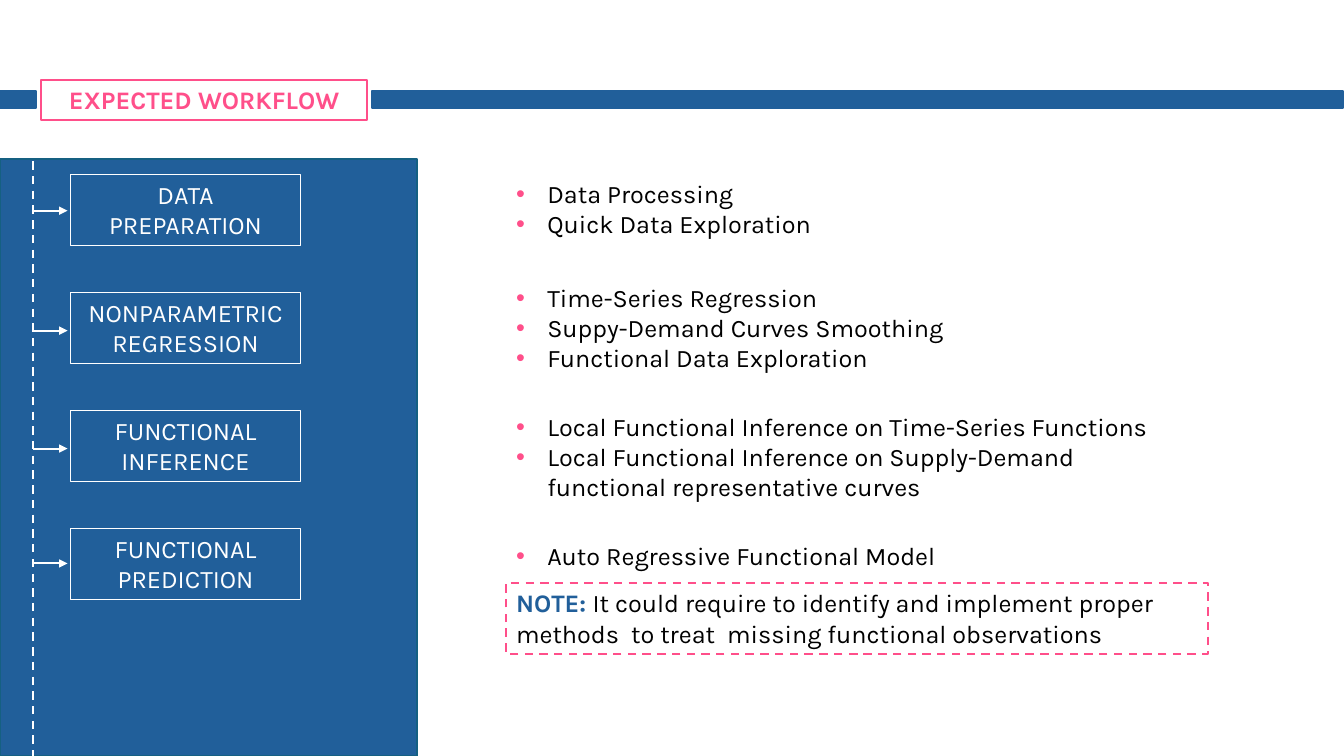
from lxml.etree import SubElement
from pptx import Presentation
from pptx.dml.color import RGBColor
from pptx.enum.dml import MSO_LINE_DASH_STYLE as Dash
from pptx.enum.shapes import MSO_CONNECTOR as Connector, MSO_SHAPE as Shape
from pptx.enum.text import MSO_ANCHOR as Anchor, PP_ALIGN as Align
from pptx.oxml.ns import qn
from pptx.util import Inches, Pt

BLUE, PINK, WHITE, BLACK = "215F9A", "FF4F8A", "FFFFFF", "000000"
PANEL_EDGE = "156082"
FONT = "Karla"
SPINE_X = 0.33
NOTES_X, NOTES_WIDTH = 5.02, 6.96

# Label, arrow height, top and height of the details, details
STAGES = [
    ("DATA PREPARATION", 2.09, 1.72, 0.71,
     ["Data Processing", "Quick Data Exploration"]),
    ("NONPARAMETRIC REGRESSION", 3.28, 2.75, 1.01,
     ["Time-Series Regression", "Suppy-Demand Curves Smoothing",
      "Functional Data Exploration"]),
    ("FUNCTIONAL INFERENCE", 4.45, 4.03, 1.01,
     ["Local Functional Inference on Time-Series Functions",
      "Local Functional Inference on Supply-Demand "
      "functional representative curves"]),
    ("FUNCTIONAL PREDICTION", 5.59, 5.31, 0.4,
     ["Auto Regressive Functional Model"]),
]


def rgb(hex_colour):
    return RGBColor.from_string(hex_colour)


def add_text(paragraph, text, color=BLACK, size=18, bold=False, align=None):
    run = paragraph.add_run()
    run.text = text
    run.font.name = FONT
    run.font.size = Pt(size)
    run.font.bold = bold
    run.font.color.rgb = rgb(color)
    if align is not None:
        paragraph.alignment = align


def set_frame(shape, anchor):
    frame = shape.text_frame
    frame.word_wrap = True
    frame.vertical_anchor = anchor
    frame.margin_left = frame.margin_right = Inches(0.1)
    frame.margin_top = frame.margin_bottom = Inches(0.05)
    return frame


def set_outline(shape, color, width, dash=None):
    shape.line.color.rgb = rgb(color)
    shape.line.width = Pt(width)
    if dash is not None:
        shape.line.dash_style = dash


def add_box(slide, left, top, width, height, line, weight=1.5, fill=None, dash=None):
    box = slide.shapes.add_shape(Shape.RECTANGLE, Inches(left), Inches(top),
                                 Inches(width), Inches(height))
    box.shadow.inherit = False
    if fill:
        box.fill.solid()
        box.fill.fore_color.rgb = rgb(fill)
    else:
        box.fill.background()
    set_outline(box, line, weight, dash)
    return box


def add_line(slide, x1, y1, x2, y2, dash=None, arrow=False):
    line = slide.shapes.add_connector(Connector.STRAIGHT, Inches(x1), Inches(y1),
                                      Inches(x2), Inches(y2))
    set_outline(line, WHITE, 1.5, dash)
    if arrow:
        SubElement(line.line._get_or_add_ln(), qn("a:tailEnd"), type="triangle")
    SubElement(line._element.spPr, qn("a:effectLst"))


def add_bullet(paragraph):
    props = paragraph._p.get_or_add_pPr()
    props.set("marL", str(Inches(0.31)))
    props.set("indent", str(-Inches(0.31)))
    bullet_color = SubElement(props, qn("a:buClr"))
    SubElement(bullet_color, qn("a:srgbClr"), val=PINK)
    SubElement(props, qn("a:buFont"), typeface="Arial")
    SubElement(props, qn("a:buChar"), char="•")


def add_details(slide, top, height, items):
    details = slide.shapes.add_textbox(Inches(NOTES_X), Inches(top),
                                       Inches(NOTES_WIDTH), Inches(height))
    frame = set_frame(details, Anchor.TOP)
    for index, item in enumerate(items):
        paragraph = frame.add_paragraph() if index else frame.paragraphs[0]
        add_bullet(paragraph)
        add_text(paragraph, item)


def add_title(slide, text):
    title = slide.shapes.title
    title.left, title.top = Inches(0.41), Inches(0.79)
    title.width, title.height = Inches(3.23), Inches(0.4)
    set_outline(title, PINK, 1.5)
    frame = set_frame(title, Anchor.MIDDLE)
    add_text(frame.paragraphs[0], text, color=PINK, bold=True, align=Align.CENTER)


def add_note(slide):
    note = add_box(slide, NOTES_X, 5.78, NOTES_WIDTH, 0.71, PINK, dash=Dash.DASH)
    paragraph = set_frame(note, Anchor.TOP).paragraphs[0]
    add_text(paragraph, "NOTE: ", color=BLUE, bold=True, align=Align.LEFT)
    add_text(paragraph, "It could require to identify and implement proper "
                        "methods  to treat  missing functional observations")


def main():
    prs = Presentation()
    prs.slide_width, prs.slide_height = Inches(13.33), Inches(7.5)
    slide = prs.slides.add_slide(prs.slide_layouts[5])

    # Header: title between two bars
    add_title(slide, "EXPECTED WORKFLOW")
    for left, width in ((0, 0.36), (3.69, 9.63)):
        add_box(slide, left, 0.9, width, 0.17, BLUE, fill=BLUE)

    # Side panel with its dashed spine
    add_box(slide, 0, 1.58, 4.14, 5.92, PANEL_EDGE, fill=BLUE)
    add_line(slide, SPINE_X, 1.6, SPINE_X, 7.5, dash=Dash.DASH)

    # Stages and their details
    for index, (label, arrow_y, top, height, items) in enumerate(STAGES):
        stage = add_box(slide, 0.7, 1.73 + 1.17 * index, 2.28, 0.71, WHITE, weight=0.75)
        frame = set_frame(stage, Anchor.TOP)
        add_text(frame.paragraphs[0], label, color=WHITE, align=Align.CENTER)
        add_line(slide, SPINE_X, arrow_y, 0.67, arrow_y, arrow=True)
        add_details(slide, top, height, items)

    add_note(slide)
    prs.save("out.pptx")


if __name__ == "__main__":
    main()
